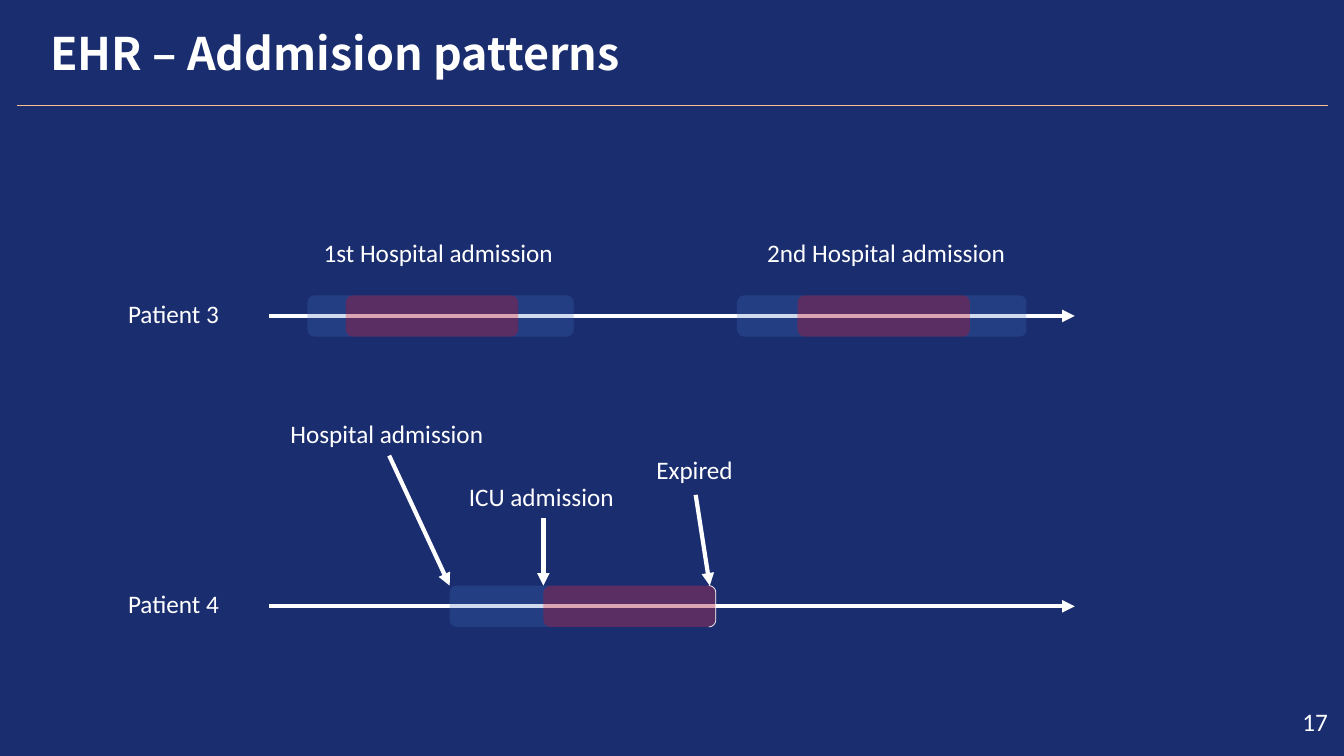
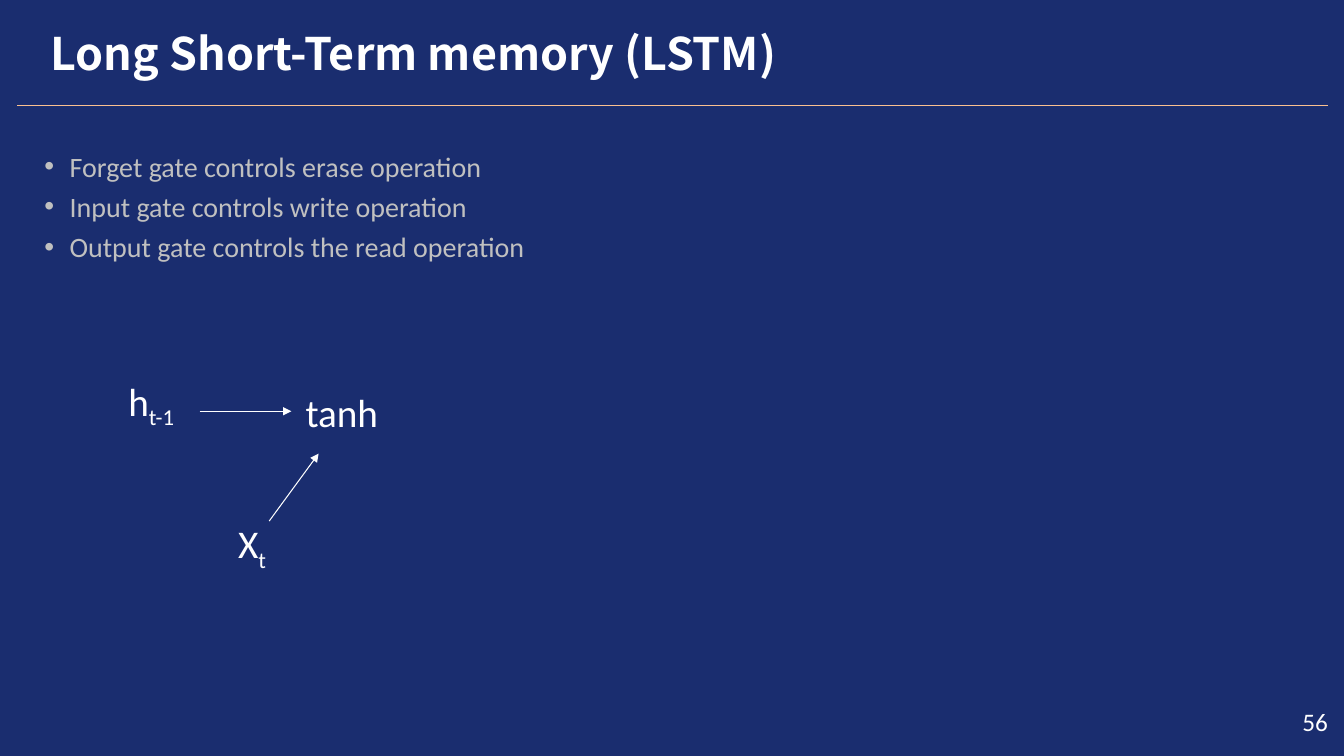
"""Build two dark slides: patient admission timelines and the LSTM inputs."""
import math
from dataclasses import dataclass

import lxml.etree
import pptx
import pptx.dml.color
import pptx.enum.shapes
import pptx.enum.text
import pptx.oxml.ns
import pptx.util

Inches, Pt = pptx.util.Inches, pptx.util.Pt
qn = pptx.oxml.ns.qn
ALIGN = pptx.enum.text.PP_ALIGN
ANCHOR = pptx.enum.text.MSO_ANCHOR
SHAPE = pptx.enum.shapes.MSO_SHAPE


@dataclass(frozen=True)
class Theme:
    """Colours, fonts and type sizes of the deck."""
    navy: str = "1A2D6F"
    rule: str = "FAC090"
    white: str = "FFFFFF"
    grey: str = "C0C0C0"
    hospital: str = "4471C4"
    icu: str = "FF0000"
    title_font: str = "Noto Sans CJK KR"
    font: str = "Calibri"
    title: int = 32
    node: int = 28
    body: int = 20
    label: int = 18
    hair: float = 0.75
    thick: float = 3


@dataclass(frozen=True)
class Box:
    """A rectangle in inches."""
    x: float
    y: float
    w: float
    h: float

    def emu(self):
        """Return left, top, width and height as lengths."""
        return [Inches(v) for v in (self.x, self.y, self.w, self.h)]

    def inner(self, dx, dy, w, h):
        """Return a box offset from this one's top left corner."""
        return Box(self.x + dx, self.y + dy, w, h)


T = Theme()
ICU_WIDTH = 1.71
CORNER = 0.07


def rgb(color):
    """Return a colour object for a hex string."""
    return pptx.dml.color.RGBColor.from_string(color)


def set_frame(tf, anchor=ANCHOR.TOP, top=0.01):
    """Give a text frame tight margins, wrapping and an anchor."""
    tf.word_wrap = True
    tf.auto_size = pptx.enum.text.MSO_AUTO_SIZE.NONE
    tf.vertical_anchor = anchor
    tf.margin_left = tf.margin_right = tf.margin_bottom = 0
    tf.margin_top = Inches(top)


def set_font(p, size, color=T.white, name=T.font, bold=False):
    """Format all text of a paragraph."""
    p.font.size, p.font.name, p.font.bold = Pt(size), name, bold
    p.font.color.rgb = rgb(color)


def add_text(s, box, text, size=T.label, align=ALIGN.LEFT,
             anchor=ANCHOR.TOP, sub=""):
    """Add one line of text, with an optional subscript."""
    shape = s.shapes.add_textbox(*box.emu())
    set_frame(shape.text_frame, anchor)
    p = shape.text_frame.paragraphs[0]
    p.alignment = align
    set_font(p, size)
    p.add_run().text = text
    if sub:
        r = p.add_run()
        r.text = sub
        r.font._element.set("baseline", "-25000")
    return shape


def add_line(s, start, end, color=T.white, width=T.hair, arrow=True):
    """Add a straight line, by default with an arrowhead at its end."""
    line = s.shapes.add_connector(
        pptx.enum.shapes.MSO_CONNECTOR.STRAIGHT,
        *[Inches(v) for v in (*start, *end)])
    line.line.color.rgb = rgb(color)
    line.line.width = Pt(width)
    spPr = line.element.spPr
    if arrow:
        lxml.etree.SubElement(spPr.find(qn("a:ln")), qn("a:tailEnd"), type="triangle")
    lxml.etree.SubElement(spPr, qn("a:effectLst"))
    return line


def add_bar(s, box, color):
    """Add a translucent rounded bar."""
    bar = s.shapes.add_shape(SHAPE.ROUNDED_RECTANGLE, *box.emu())
    bar.adjustments[0] = CORNER / box.h
    bar.shadow.inherit = False
    bar.line.fill.background()
    bar.fill.solid()
    bar.fill.fore_color.rgb = rgb(color)
    clr = bar.element.spPr.find(qn("a:solidFill"))[0]
    lxml.etree.SubElement(clr, qn("a:alpha"), val="25000")


def add_end_edge(s, box):
    """Outline the rounded right edge of a bar."""
    x = box.x + box.w - CORNER
    arcs = [(box.y + CORNER, range(-90, 1, 15)),
            (box.y + box.h - CORNER, range(0, 91, 15))]
    points = [(Inches(x + CORNER * math.cos(math.radians(a))),
               Inches(y + CORNER * math.sin(math.radians(a))))
              for y, angles in arcs for a in angles]
    builder = s.shapes.build_freeform(*points[0])
    builder.add_line_segments(points[1:], close=False)
    edge = builder.convert_to_shape()
    edge.shadow.inherit = False
    edge.fill.background()
    edge.line.color.rgb = rgb(T.white)
    edge.line.width = Pt(0.5)


def add_patient(s, box, name, stays):
    """Draw a named time axis with (start, width, ICU start) stays."""
    middle = box.y + box.h / 2
    add_line(s, (box.x + 1.4, middle), (box.x + box.w, middle), width=T.thick)
    add_text(s, box.inner(0, 0.02, 0.93, 0.33), name)
    for start, width, icu in stays:
        add_bar(s, box.inner(start, 0, width, box.h), T.hospital)
        add_bar(s, box.inner(icu, 0, ICU_WIDTH, box.h), T.icu)


def add_event(s, box, text, label, tail, head):
    """Label a moment on a patient's axis and point at it."""
    add_text(s, box.inner(*label, 2, 0.33), text)
    add_line(s, (box.x + tail[0], box.y + tail[1]), (box.x + head, box.y),
             width=T.thick)


def add_slide(prs, layout, title, number):
    """Add a slide with the deck's title and page number."""
    s = prs.slides.add_slide(prs.slide_layouts[layout])
    shape = s.shapes.title
    shape.left, shape.top, shape.width, shape.height = Box(0.5, 0.25, 9.08, 0.55).emu()
    set_frame(shape.text_frame)
    p = shape.text_frame.paragraphs[0]
    p.text = title
    p.alignment = ALIGN.LEFT
    p.space_before = Pt(1.1)
    set_font(p, T.title, name=T.title_font, bold=True)
    add_text(s, Box(12.67, 7, 0.5, 0.3), number, align=ALIGN.RIGHT)
    return s


def style_master(prs, s):
    """Put the background and the title rule on the master."""
    fill = prs.slide_master.background.fill
    fill.solid()
    fill.fore_color.rgb = rgb(T.navy)
    rule = add_line(s, (0.17, 1.05), (13.17, 1.05), T.rule, arrow=False)
    prs.slide_master.shapes.element.append(rule.element)


def add_list(s, box, items):
    """Fill the body placeholder with a bulleted list."""
    body = s.placeholders[1]
    body.left, body.top, body.width, body.height = box.emu()
    tf = body.text_frame
    set_frame(tf, top=0.08)
    tf.text = "\n".join(items)
    for p in tf.paragraphs:
        p.space_before = Pt(4.8)
        set_font(p, T.body, T.grey)
        pPr = p._p.get_or_add_pPr()
        pPr.set("marL", str(Inches(0.27)))
        pPr.set("indent", str(Inches(-0.25)))


def add_gate(s, box):
    """Draw the two inputs that feed tanh."""
    def node(dx, dy, text, sub=""):
        """Add one centred term."""
        return add_text(s, box.inner(dx, dy, 1, 0.66), text, T.node,
                        ALIGN.CENTER, ANCHOR.MIDDLE, sub)

    node(0, 0, "h", "t-1")
    node(1, 1.41, "X", "t")
    tanh = node(1.89, 0.08, "tanh")
    y = box.y + 0.41
    add_line(s, (box.x + 0.98, y), (box.x + 1.89, y)).end_connect(tanh, 1)
    add_line(s, (box.x + 1.67, box.y + 1.5), (box.x + 2.16, box.y + 0.83))


def admission_slide(prs):
    """Build the admission patterns slide."""
    s = add_slide(prs, 5, "EHR – Addmision patterns", "17")
    third, fourth = (Box(1.27, y, 9.39, 0.41) for y in (2.93, 5.81))
    add_patient(s, third, "Patient 3", [(1.78, 2.64, 2.16), (6.04, 2.87, 6.64)])
    for dx, text in ((1.94, "1st Hospital admission"), (6.34, "2nd Hospital admission")):
        add_text(s, third.inner(dx, -0.59, 2.5, 0.33), text)
    add_patient(s, fourth, "Patient 4", [(3.19, 2.64, 4.12)])
    add_end_edge(s, fourth.inner(4.12, 0, ICU_WIDTH, fourth.h))
    events = [
        ("Hospital admission", (1.61, -1.67), (2.59, -1.29), 3.19),
        ("ICU admission", (3.38, -1.04), (4.12, -0.67), 4.12),
        ("Expired", (5.24, -1.31), (5.63, -0.9), 5.77),
    ]
    for event in events:
        add_event(s, fourth, *event)
    return s


def lstm_slide(prs):
    """Build the LSTM slide."""
    s = add_slide(prs, 1, "Long Short-Term memory (LSTM)", "56")
    add_list(s, Box(0.42, 1.4, 4.79, 1.23), [
        "Forget gate controls erase operation",
        "Input gate controls write operation",
        "Output gate controls the read operation",
    ])
    add_gate(s, Box(1, 3.67, 2.89, 2.08))


def main():
    """Build and save the deck."""
    prs = pptx.Presentation()
    prs.slide_width, prs.slide_height = Inches(13.33), Inches(7.5)
    style_master(prs, admission_slide(prs))
    lstm_slide(prs)
    prs.save("out.pptx")


if __name__ == "__main__":
    main()
